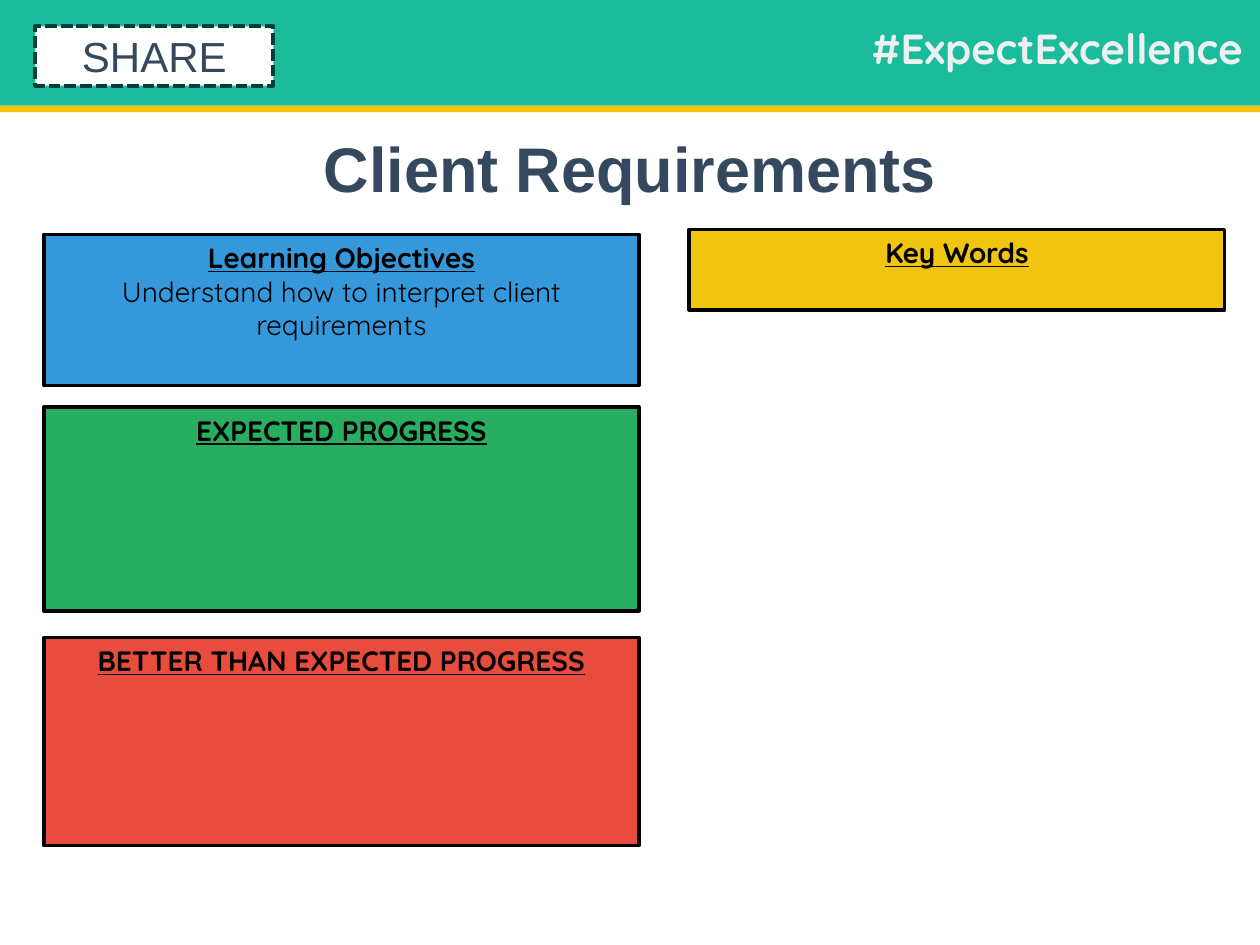
import pptx
import pptx.dml.color
import pptx.enum.dml
import pptx.enum.shapes
import pptx.enum.text
import pptx.util

Inches = pptx.util.Inches
Pt = pptx.util.Pt
ALIGN = pptx.enum.text.PP_ALIGN
ANCHOR = pptx.enum.text.MSO_ANCHOR


def paint(target, colour):
    """Give a fill or a font colour holder a solid hex colour."""
    if hasattr(target, "solid"):
        target.solid()
        target = target.fore_color
    else:
        target = target.color
    target.rgb = pptx.dml.color.RGBColor.from_string(colour)


def write(shape, *lines, size, font, colour="000000", bold=True, heading=False,
          align=ALIGN.CENTER, anchor=ANCHOR.TOP):
    """Write one paragraph per line; a heading underlines and bolds only the first."""
    frame = shape.text_frame
    frame.word_wrap = True
    frame.vertical_anchor = anchor
    frame.text = "\n".join(lines)
    for index, para in enumerate(frame.paragraphs):
        para.alignment = align
        span = para.runs[0].font
        span.name, span.size = font, Pt(size)
        span.bold = bold and (index == 0 or not heading)
        span.underline = heading and index == 0
        paint(span, colour)


deck = pptx.Presentation()
deck.slide_width, deck.slide_height = Inches(10), Inches(7.5)
page = deck.slides.add_slide(deck.slide_layouts[5])

# Every rectangle: place, fill, outline colour and width, text lines
rectangles = [
    ((0, -0.02, 10, 0.86), "1ABC9C", None, 0, []),
    ((-0.02, 0.84, 10.02, 0.05), "F4C20D", None, 0, []),
    ((0.28, 0.21, 1.89, 0.47), "FFFFFF", "003F3E", 2.25, ["SHARE"]),
    ((0.35, 1.86, 4.72, 1.2), "3498DB", "000000", 2,
     ["Learning Objectives", "Understand how to interpret client requirements"]),
    ((0.35, 3.23, 4.72, 1.62), "27AE60", "000000", 2, ["EXPECTED PROGRESS"]),
    ((0.35, 5.06, 4.72, 1.65), "E74C3C", "000000", 2, ["BETTER THAN EXPECTED PROGRESS"]),
    ((5.47, 1.82, 4.25, 0.64), "F1C40F", "000000", 2, ["Key Words"]),
]
for place, fill, outline, width, lines in rectangles:
    box = page.shapes.add_shape(pptx.enum.shapes.MSO_SHAPE.RECTANGLE, *map(Inches, place))
    box.shadow.inherit = False
    paint(box.fill, fill)
    if outline is None:
        box.line.fill.background()
        continue
    paint(box.line.fill, outline)
    box.line.width = Pt(width)
    if lines == ["SHARE"]:
        box.line.dash_style = pptx.enum.dml.MSO_LINE.SQUARE_DOT
        write(box, *lines, size=24, font="Arial", colour="34495E", bold=False,
              anchor=ANCHOR.MIDDLE)
    else:
        write(box, *lines, size=16, font="Quicksand", heading=True)

motto = page.shapes.add_textbox(Inches(5.94), Inches(0.13), Inches(4.02), Inches(0.39))
write(motto, "#ExpectExcellence", size=24, font="Quicksand", colour="ECF0F1", align=ALIGN.RIGHT)

title = page.shapes.title
title.left, title.top, title.width, title.height = map(Inches, (0.5, 0.92, 9, 0.97))
title.text_frame.margin_top = Inches(0.11)
write(title, "Client Requirements", size=36, font="Arial", colour="34495E")

deck.save("out.pptx")
